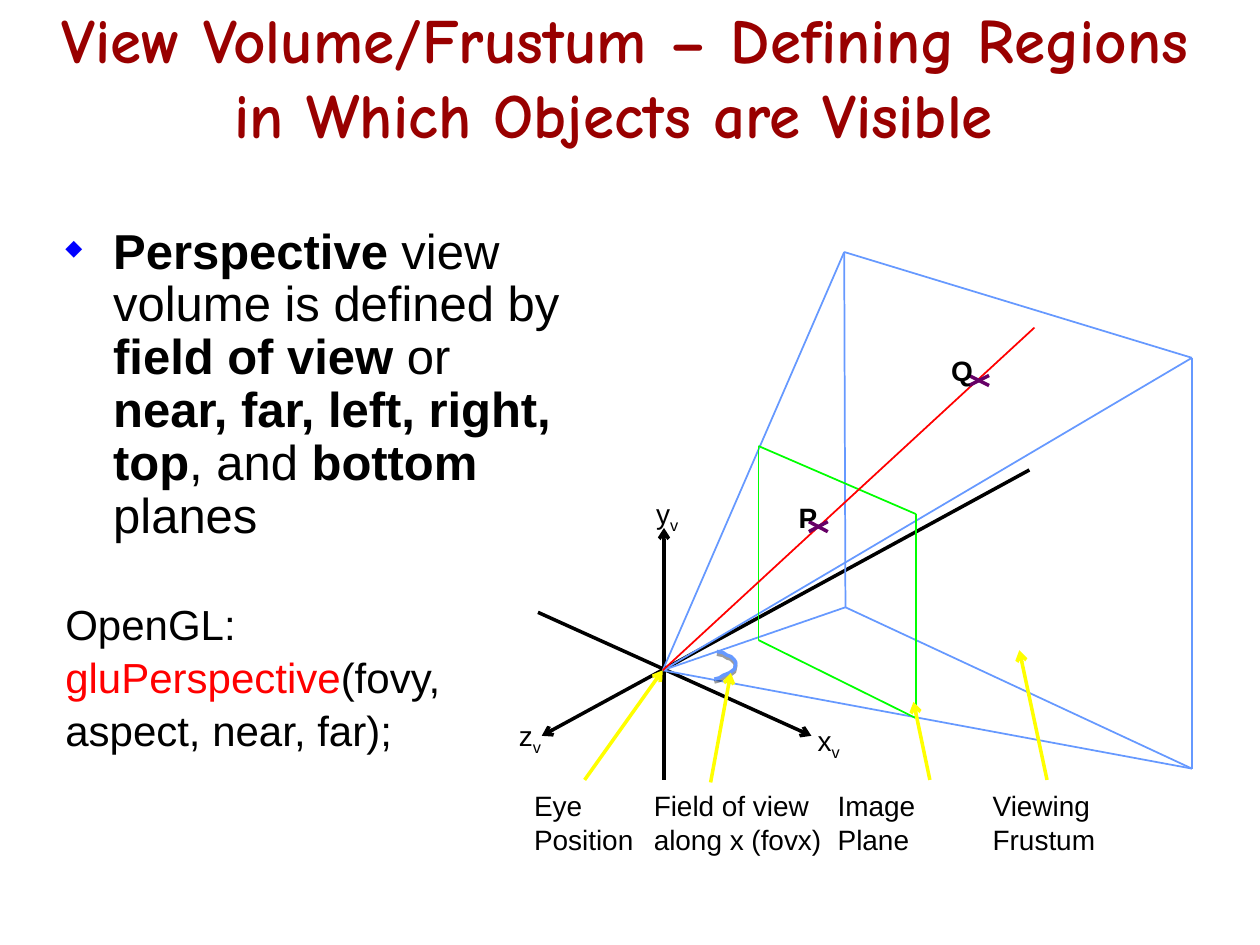
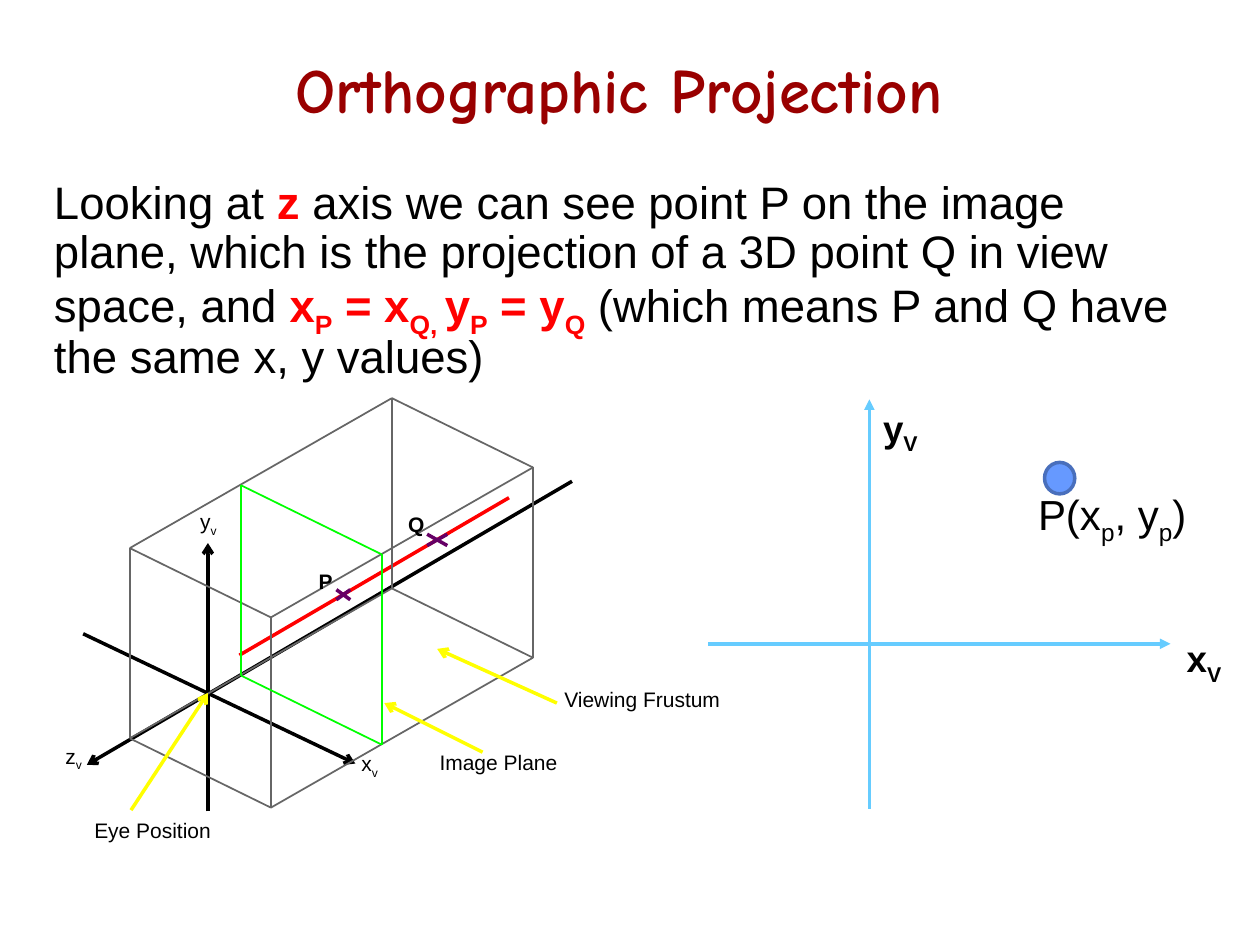
import dataclasses

import pptx
import pptx.dml.color
import pptx.enum.shapes
import pptx.enum.text
import pptx.util
from lxml import etree
import pptx.oxml.ns

PX = 9144  # EMU per px: 100 px to the inch


@dataclasses.dataclass(frozen=True)
class Theme:
    body_font: str = "Arial"
    title_font: str = "Comic Neue"
    black: str = "000000"
    title: str = "990000"
    bullet: str = "0000FF"
    red: str = "FF0000"
    frustum: str = "6699FF"
    box: str = "666666"
    image_plane: str = "00FF00"
    mark: str = "660066"
    pointer: str = "FFFF00"
    axis: str = "66CCFF"
    dot_edge: str = "496FBC"
    title_size: int = 36
    bullet_size: int = 28
    body_size: int = 26
    code_size: int = 24
    axis_size: int = 21
    label_size: int = 16
    small_size: int = 12
    thin: int = 1
    thick: int = 2


THEME = Theme()


def rgb(color):
    return pptx.dml.color.RGBColor.from_string(color)


def assign(target, formats):
    for name, value in formats.items():
        setattr(target, name, value)


def add_xml(parent, tag, **attributes):
    return etree.SubElement(parent, pptx.oxml.ns.qn(tag), attributes)


class Deck:
    """Holds the theme and the current slide."""

    def __init__(self, theme):
        self.theme = theme
        self.file = pptx.Presentation()
        assign(self.file, {"slide_width": 1000 * PX, "slide_height": 750 * PX})
        self.slide = None

    def new_slide(self):
        self.slide = self.file.slides.add_slide(self.file.slide_layouts[6])

    def text(self, box, paragraphs, middle=False):
        """Each paragraph is (runs, size, options); a run is (text, *flags)."""
        frame = self.slide.shapes.add_textbox(*(v * PX for v in box)).text_frame
        anchors = pptx.enum.text.MSO_ANCHOR
        assign(frame, {
            "word_wrap": True,
            "vertical_anchor": anchors.MIDDLE if middle else anchors.TOP,
        })
        for index, (runs, size, options) in enumerate(paragraphs):
            paragraph = frame.paragraphs[0] if index == 0 else frame.add_paragraph()
            options = dict(options)
            if options.pop("bullet", False):
                self.bullet(paragraph)
            font = options.pop("font", self.theme.body_font)
            color = options.pop("color", self.theme.black)
            assign(paragraph, options)
            for words, *flags in runs:
                if words == "\n":
                    paragraph.add_line_break()
                    continue
                run = paragraph.add_run()
                run.text = words
                assign(run.font, {"name": font, "size": pptx.util.Pt(size),
                                  "bold": "bold" in flags})
                run.font.color.rgb = rgb(self.theme.red if "red" in flags else color)
                if "sub" in flags:
                    run._r.get_or_add_rPr().set("baseline", "-25000")

    def bullet(self, paragraph):
        props = paragraph._p.get_or_add_pPr()
        props.set("marL", str(38 * PX))
        props.set("indent", str(-38 * PX))
        add_xml(add_xml(props, "a:buClr"), "a:srgbClr", val=self.theme.bullet)
        add_xml(props, "a:buSzPct", val="45000")
        add_xml(props, "a:buChar", char="◆")

    def title(self, box, words):
        style = {"font": self.theme.title_font, "color": self.theme.title,
                 "alignment": pptx.enum.text.PP_ALIGN.CENTER}
        self.text(box, [([(words, "bold")], self.theme.title_size, style)], middle=True)

    def label(self, box, words, size, *flags, sub=""):
        runs = [(words, *flags)]
        if sub:
            runs.append((sub, "sub", *flags))
        self.text(box, [(runs, size, {})])

    def axis_labels(self, places, size, *flags, sub="v"):
        for left, top, axis in places:
            self.label((left, top, 62, 50), axis, size, *flags, sub=sub)

    def line(self, start, end, color, width, head=None):
        straight = pptx.enum.shapes.MSO_CONNECTOR.STRAIGHT
        line = self.slide.shapes.add_connector(
            straight, *(v * PX for v in (*start, *end)))
        line.line.color.rgb = rgb(color)
        line.line.width = pptx.util.Pt(width)
        if head:
            add_xml(line.line._get_or_add_ln(), "a:tailEnd", type=head)
        add_xml(line._element.spPr, "a:effectLst")

    def arrows(self, ends, color, head="arrow"):
        for start, end in ends:
            self.line(start, end, color, self.theme.thick, head)

    def outline(self, corners, color):
        for start, end in zip(corners, corners[1:] + corners[:1]):
            self.line(start, end, color, self.theme.thin)

    def cross(self, left, top, right, bottom):
        for start, end in (((right, top), (left, bottom)), ((left, top), (right, bottom))):
            self.line(start, end, self.theme.mark, self.theme.thick)

    def arc(self, points, color):
        builder = self.slide.shapes.build_freeform(*points[0], scale=PX)
        builder.add_line_segments(points[1:], close=False)
        arc = builder.convert_to_shape()
        arc.fill.background()
        arc.line.color.rgb = rgb(color)
        arc.line.width = pptx.util.Pt(self.theme.thick)
        arc.shadow.inherit = False
        effects = arc._element.spPr.find(pptx.oxml.ns.qn("a:effectLst"))
        shadow = add_xml(effects, "a:outerShdw", blurRad="0", dist="20320", dir="5400000")
        tint = add_xml(shadow, "a:srgbClr", val=self.theme.black)
        add_xml(tint, "a:alpha", val="38000")

    def dot(self, box, fill, edge):
        oval = pptx.enum.shapes.MSO_SHAPE.OVAL
        dot = self.slide.shapes.add_shape(oval, *(v * PX for v in box))
        dot.shadow.inherit = False
        dot.fill.solid()
        dot.fill.fore_color.rgb = rgb(fill)
        dot.line.color.rgb = rgb(edge)
        dot.line.width = pptx.util.Pt(self.theme.thick)


def build_view_volume(deck):
    theme = deck.theme
    deck.new_slide()

    # Definition and OpenGL call
    definition = [
        ("Perspective", "bold"), (" view volume is defined by ",),
        ("field of view", "bold"), (" or",), ("\n",),
        ("near, far, left, right, top", "bold"), (", and ",),
        ("bottom", "bold"), (" planes",),
    ]
    tight = {"line_spacing": 0.9}
    code = {**tight, "space_before": pptx.util.Pt(4.5)}
    deck.text((42, 175, 425, 475), [
        (definition, theme.bullet_size, {**tight, "bullet": True}),
        ([("OpenGL:",)], theme.code_size, {**tight, "space_before": pptx.util.Pt(34)}),
        ([("gluPerspective", "red"), ("(fovy,",)], theme.code_size, code),
        ([("aspect, near, far);",)], theme.code_size, code),
    ])

    # Axes
    deck.arrows([((527, 619), (527, 419)), ((427, 486), (644, 584)),
                 ((817, 373), (430, 584))], theme.black)
    deck.axis_labels([(639, 569, "x"), (511, 389, "y"), (402, 565, "z")],
                     theme.label_size)

    # Frustum, image plane and sight ray
    eye = (526, 532)
    far_corners = [(670, 200), (946, 284), (946, 610), (671, 482)]
    deck.outline(far_corners, theme.frustum)
    for corner in far_corners:
        deck.line(corner, eye, theme.frustum, theme.thin)
    deck.outline([(602, 354), (727, 408), (727, 570), (602, 508)], theme.image_plane)
    deck.line((821, 260), eye, theme.red, theme.thin)

    # Points on the ray
    deck.cross(769, 298, 785, 306)
    deck.cross(642, 414, 657, 422)
    for box, point in (((745, 276, 40, 37), "Q"), ((624, 392, 40, 37), "P")):
        deck.label(box, point, theme.label_size, "bold")

    # Field of view arc and callouts
    deck.arc([(569, 517), (574, 518), (577, 520), (580, 521), (583, 524), (584, 526),
              (583, 531), (579, 534), (574, 536), (571, 538), (567, 539)], theme.frustum)
    for left, width, words in ((414, 125, "Eye Position"),
                               (509, 158, "Field of view along x (fovx)"),
                               (655, 121, "Image Plane"),
                               (778, 162, "Viewing Frustum")):
        deck.label((left, 621, width, 66), words, theme.label_size)
    deck.arrows([((464, 619), eye), ((564, 621), (580, 534)),
                 ((738, 619), (725, 557)), ((831, 619), (809, 516))], theme.pointer)

    deck.title((31, 6, 930, 108), "View Volume/Frustum – Defining Regions "
                                  "in Which Objects are Visible ")


def face(left, top):
    """Corners of one slanted face of the view box, clockwise from top left."""
    width, slant, height = 112, 55, 151
    return [(left, top), (left + width, top + slant),
            (left + width, top + slant + height), (left, top + height)]


def build_orthographic(deck):
    theme = deck.theme
    deck.new_slide()

    # Explanation
    explanation = [
        ("Looking at ",), ("z", "bold", "red"),
        (" axis we can see point P on the image plane, which is the projection "
         "of a 3D point Q in view space, and ",),
        ("x", "bold", "red"), ("P", "bold", "red", "sub"),
        (" = x", "bold", "red"), ("Q, ", "bold", "red", "sub"),
        ("y", "bold", "red"), ("P", "bold", "red", "sub"),
        (" = y", "bold", "red"), ("Q", "bold", "red", "sub"),
        (" (which means P and Q have the same x, y values)",),
    ]
    deck.text((33, 138, 925, 483),
              [(explanation, theme.body_size, {"line_spacing": 0.9})])

    # Axes of the view space
    deck.axis_labels([(277, 591, "x"), (149, 399, "y"), (42, 585, "z")],
                     theme.small_size)
    deck.arrows([((165, 644), (165, 431)), ((66, 503), (282, 606)),
                 ((454, 382), (69, 607))], theme.black)

    # View box, projection ray and image plane
    deck.line((404, 395), (190, 520), theme.red, theme.thick)
    near, far = face(103, 435), face(311, 316)
    deck.outline(near, theme.box)
    deck.outline(far, theme.box)
    for start, end in zip(far, near):
        deck.line(start, end, theme.box, theme.thin)
    deck.outline(face(191, 385), theme.image_plane)

    # Points on the ray
    deck.cross(267, 468, 278, 476)
    deck.cross(339, 424, 355, 433)
    for box, point in (((243, 446, 40, 37), "P"), ((314, 401, 40, 37), "Q")):
        deck.label(box, point, theme.small_size, "bold")

    # Callouts
    for left, top, width, words in ((339, 590, 162, "Image Plane"),
                                    (438, 540, 162, "Viewing Frustum"),
                                    (65, 644, 124, "Eye Position")):
        deck.label((left, top, width, 40), words, theme.small_size)
    deck.arrows([((104, 643), (165, 550)), ((383, 597), (305, 558)),
                 ((442, 558), (347, 515))], theme.pointer)

    # Projected point in the plane
    deck.arrows([((562, 511), (929, 511)), ((690, 642), (690, 317))],
                theme.axis, "triangle")
    deck.axis_labels([(932, 500, "x"), (691, 317, "y")],
                     theme.axis_size, "bold", sub="V")
    projected = [("P(x",), ("p", "sub"), (", y",), ("p", "sub"), (")",)]
    deck.text((814, 383, 160, 56), [(projected, theme.code_size, {})])
    deck.dot((829, 367, 24, 25), theme.frustum, theme.dot_edge)

    deck.title((75, 25, 850, 90), "Orthographic Projection ")


def main():
    deck = Deck(THEME)
    build_view_volume(deck)
    build_orthographic(deck)
    deck.file.save("out.pptx")


if __name__ == "__main__":
    main()
